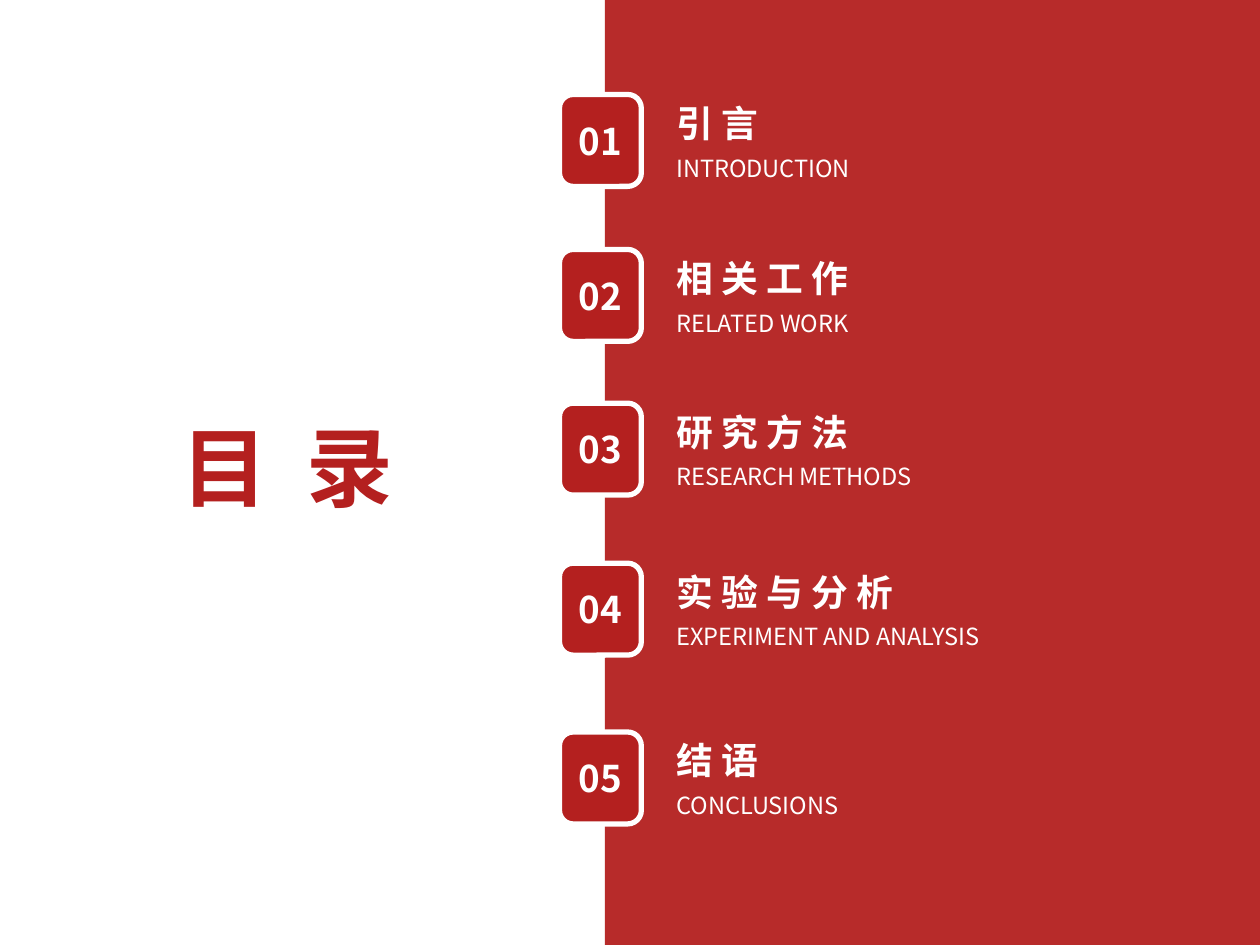
from lxml import etree
from pptx import Presentation
from pptx.dml.color import RGBColor
from pptx.enum.shapes import MSO_SHAPE
from pptx.enum.text import MSO_ANCHOR, MSO_AUTO_SIZE, PP_ALIGN
from pptx.oxml.ns import qn
from pptx.util import Inches, Pt

FONT = "Noto Sans CJK SC"
RED = "B4201F"
WHITE = "FFFFFF"
SECTIONS = [
    (0.75, "引 言", "INTRODUCTION"),
    (1.98, "相 关 工 作", "RELATED WORK"),
    (3.2, "研 究 方 法", "RESEARCH METHODS"),
    (4.47, "实 验 与 分 析", "EXPERIMENT AND ANALYSIS"),
    (5.81, "结 语", "CONCLUSIONS"),
]


def paint(color_format, color):
    color_format.rgb = RGBColor.from_string(color)


def write(frame, text, size, color, bold=False, align=PP_ALIGN.LEFT):
    """Fill a text frame with one styled paragraph and return its run."""
    frame.word_wrap = True
    frame.text = text
    paragraph = frame.paragraphs[0]
    paragraph.alignment = align
    run = paragraph.runs[0]
    run.font.name = FONT
    run.font.size = Pt(size)
    run.font.bold = bold
    paint(run.font.color, color)
    properties = run._r.get_or_add_rPr()
    etree.SubElement(properties, qn("a:ea")).set("typeface", FONT)
    return run


def place_title(title, left, top, width, height):
    title.left, title.top, title.width, title.height = left, top, width, height
    frame = title.text_frame
    run = write(frame, "目 录", 49.5, RED, bold=True, align=PP_ALIGN.CENTER)
    run._r.get_or_add_rPr().set("spc", "550")
    frame.paragraphs[0].line_spacing = 0.9
    frame.vertical_anchor = MSO_ANCHOR.MIDDLE
    frame.auto_size = MSO_AUTO_SIZE.NONE


def add_panel(slide, left, top, width, height):
    panel = slide.shapes.add_shape(MSO_SHAPE.RECTANGLE, left, top, width, height)
    panel.shadow.inherit = False
    panel.fill.solid()
    paint(panel.fill.fore_color, RED)
    panel.line.fill.background()
    color = panel._element.spPr.find(f"{qn('a:solidFill')}/{qn('a:srgbClr')}")
    etree.SubElement(color, qn("a:alpha")).set("val", "95000")


def add_badge(shapes, number, left, top, width, height):
    badge = shapes.add_shape(MSO_SHAPE.ROUNDED_RECTANGLE, left, top, width, height)
    badge.shadow.inherit = False
    badge.fill.solid()
    paint(badge.fill.fore_color, RED)
    paint(badge.line.color, WHITE)
    badge.line.width = Pt(3)
    write(badge.text_frame, f"{number:02d}", 21, WHITE, bold=True, align=PP_ALIGN.CENTER)
    badge.text_frame.vertical_anchor = MSO_ANCHOR.MIDDLE


def add_label(shapes, text, size, bold, left, top, width, height):
    label = shapes.add_textbox(left, top, width, height)
    write(label.text_frame, text, size, WHITE, bold)
    label.text_frame.auto_size = MSO_AUTO_SIZE.SHAPE_TO_FIT_TEXT


def add_section(slide, number, heading, translation, left, top, width):
    """Group a numbered badge with its heading and translation."""
    shapes = slide.shapes.add_group_shape().shapes
    add_badge(shapes, number, left, top, Inches(0.65), Inches(0.73))
    text_left = left + Inches(0.83)
    text_width = width - Inches(0.83)
    add_label(shapes, heading, 21, True, text_left, top,
              text_width - Inches(0.18), Inches(0.45))
    add_label(shapes, translation, 13.5, False, text_left, top + Inches(0.42),
              text_width, Inches(0.33))


def main():
    deck = Presentation()
    deck.slide_width, deck.slide_height = Inches(10), Inches(7.5)
    slide = deck.slides.add_slide(deck.slide_layouts[5])
    place_title(slide.shapes.title, Inches(1.25), Inches(3.36), Inches(2.06), Inches(0.78))
    add_panel(slide, Inches(4.8), 0, Inches(5.2), deck.slide_height)
    for number, (top, heading, translation) in enumerate(SECTIONS, start=1):
        add_section(slide, number, heading, translation,
                    Inches(4.44), Inches(top), Inches(5.56))
    deck.save("out.pptx")


if __name__ == "__main__":
    main()
